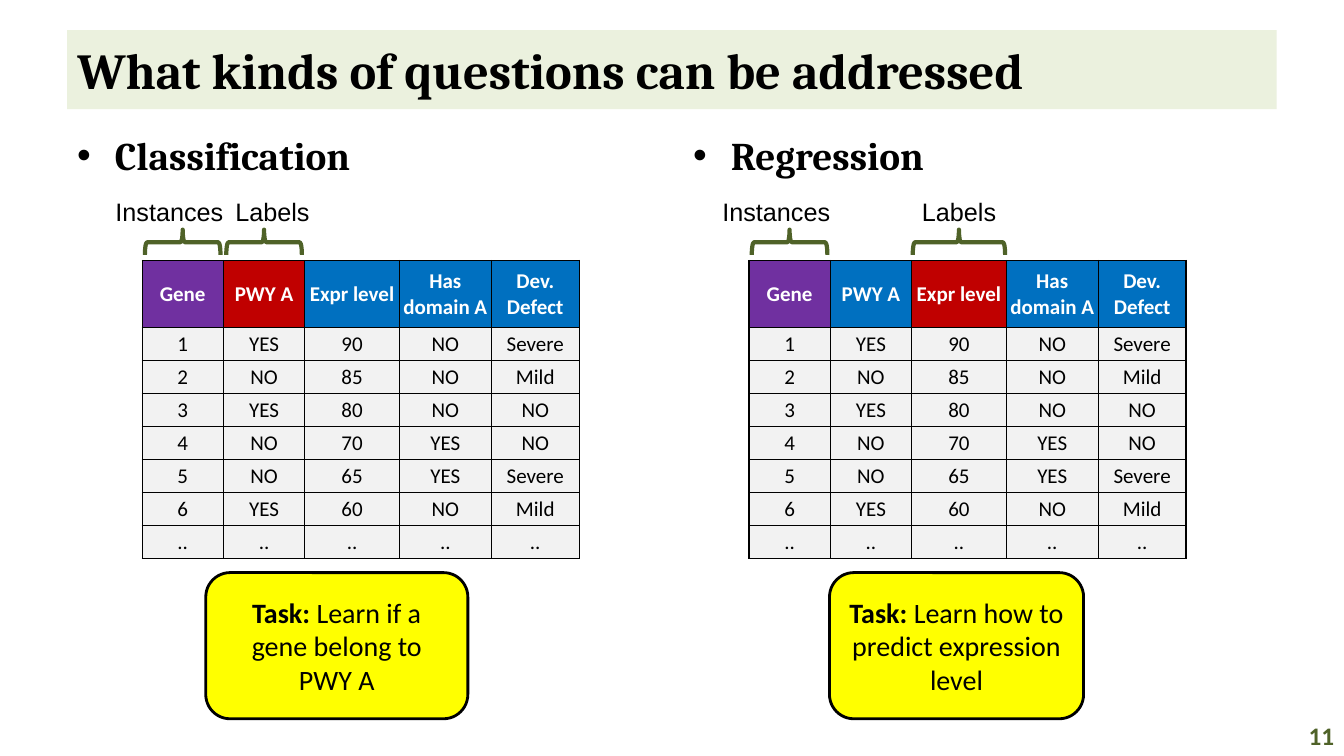
from lxml import etree
from pptx import Presentation
from pptx.dml.color import RGBColor
from pptx.enum import shapes, text
from pptx.oxml import ns
from pptx.util import Pt

BLACK = RGBColor(0x00, 0x00, 0x00)
WHITE = RGBColor(0xFF, 0xFF, 0xFF)
PALE_GREEN = RGBColor(0xEB, 0xF1, 0xDE)
DARK_GREEN = RGBColor(0x4F, 0x62, 0x28)
PURPLE = RGBColor(0x70, 0x30, 0xA0)
RED = RGBColor(0xC0, 0x00, 0x00)
BLUE = RGBColor(0x00, 0x70, 0xC0)
LIGHT_GREY = RGBColor(0xF2, 0xF2, 0xF2)
YELLOW = RGBColor(0xFF, 0xFF, 0x00)

HEADERS = ["Gene", "PWY A", "Expr level", "Has domain A", "Dev. Defect"]
GENES = [
    ["1", "YES", "90", "NO", "Severe"],
    ["2", "NO", "85", "NO", "Mild"],
    ["3", "YES", "80", "NO", "NO"],
    ["4", "NO", "70", "YES", "NO"],
    ["5", "NO", "65", "YES", "Severe"],
    ["6", "YES", "60", "NO", "Mild"],
    [".."] * 5,
]
COLUMN_WIDTHS = [58, 58.25, 67.5, 65.75, 62.75]
HEADER_HEIGHT, ROW_HEIGHT = 48, 23.5
TABLE_TOP = 186
BRACE_MIDDLE, BRACE_DEPTH = 173, 18
CAPTION_TOP, CAPTION_HEIGHT = 136.8, 28.8


class QuestionSlide:
    serif, sans, caption_font = "Cambria", "Calibri", "Arial"

    def __init__(self, deck):
        self.slide = deck.slides.add_slide(deck.slide_layouts[5])

    def format_runs(self, paragraph, font, size, color=BLACK, bold=False):
        for run in paragraph.runs:
            run.font.name = font
            run.font.size = Pt(size)
            run.font.color.rgb = color
            run.font.bold = bold

    def title(self, words):
        title = self.slide.shapes.title
        title.left, title.top, title.width, title.height = Pt(48), Pt(21.6), Pt(864), Pt(56.4)
        title.fill.solid()
        title.fill.fore_color.rgb = PALE_GREEN
        frame = title.text_frame
        frame.text = words
        frame.auto_size = text.MSO_AUTO_SIZE.NONE
        frame.vertical_anchor = text.MSO_ANCHOR.MIDDLE
        frame.paragraphs[0].alignment = text.PP_ALIGN.LEFT
        self.format_runs(frame.paragraphs[0], self.serif, 36, bold=True)

    def heading(self, left, words):
        box = self.slide.shapes.add_textbox(Pt(left), Pt(90), Pt(424), Pt(421.2))
        box.text_frame.word_wrap = True
        box.text_frame.text = words
        paragraph = box.text_frame.paragraphs[0]
        properties = paragraph._p.get_or_add_pPr()
        properties.set("marL", str(Pt(27)))
        properties.set("indent", str(-Pt(27)))
        etree.SubElement(properties, ns.qn("a:buFont")).set("typeface", "Arial")
        etree.SubElement(properties, ns.qn("a:buChar")).set("char", "•")
        self.format_runs(paragraph, self.serif, 28, bold=True)

    def page_number(self, number):
        box = self.slide.shapes.add_textbox(Pt(912), Pt(511.2), Pt(48), Pt(28.8))
        box.text_frame.vertical_anchor = text.MSO_ANCHOR.MIDDLE
        box.text_frame.word_wrap = True
        box.text_frame.text = number
        paragraph = box.text_frame.paragraphs[0]
        paragraph.alignment = text.PP_ALIGN.RIGHT
        self.format_runs(paragraph, self.sans, 18, DARK_GREEN, True)

    def borders(self, cell, widths):
        properties = cell._tc.get_or_add_tcPr()
        for side, width in zip("LRTB", widths):
            line = etree.SubElement(properties, ns.qn(f"a:ln{side}"), w=str(Pt(width)))
            fill = etree.SubElement(line, ns.qn("a:solidFill"))
            etree.SubElement(fill, ns.qn("a:srgbClr"), val=str(BLACK))

    def gene_table(self, left, label_column):
        rows = [HEADERS] + GENES
        height = HEADER_HEIGHT + ROW_HEIGHT * len(GENES)
        table = self.slide.shapes.add_table(
            len(rows), len(HEADERS), Pt(left), Pt(TABLE_TOP), Pt(sum(COLUMN_WIDTHS)), Pt(height)
        ).table
        table.first_row = table.horz_banding = False
        for column, width in zip(table.columns, COLUMN_WIDTHS):
            column.width = Pt(width)
        header_fills = [PURPLE] + [BLUE] * 4
        header_fills[label_column] = RED
        for r, row in enumerate(rows):
            table.rows[r].height = Pt(ROW_HEIGHT if r else HEADER_HEIGHT)
            for c, value in enumerate(row):
                cell = table.cell(r, c)
                self.borders(cell, (
                    1 if c <= 2 else 0.5,
                    1 if c in (0, 1, 4) else 0.5,
                    1 if r <= 1 else 0.5,
                    1 if r == 0 else 0.5,
                ))
                cell.fill.solid()
                cell.fill.fore_color.rgb = LIGHT_GREY if r else header_fills[c]
                cell.margin_left = cell.margin_right = cell.margin_top = Pt(0.75)
                cell.margin_bottom = 0
                cell.vertical_anchor = text.MSO_ANCHOR.MIDDLE
                cell.text_frame.text = value
                paragraph = cell.text_frame.paragraphs[0]
                paragraph.alignment = text.PP_ALIGN.CENTER
                self.format_runs(paragraph, self.sans, 15, BLACK if r else WHITE, r == 0)

    def braced_caption(self, group, words, table_left, column, span, width, shift):
        center = table_left + sum(COLUMN_WIDTHS[:column]) + COLUMN_WIDTHS[column] / 2
        brace = group.shapes.add_shape(
            shapes.MSO_SHAPE.RIGHT_BRACE, Pt(center - BRACE_DEPTH / 2),
            Pt(BRACE_MIDDLE - span / 2), Pt(BRACE_DEPTH), Pt(span)
        )
        brace.rotation = 270
        brace.shadow.inherit = False
        brace.fill.background()
        brace.line.color.rgb = DARK_GREEN
        brace.line.width = Pt(3)
        caption = group.shapes.add_textbox(
            Pt(center + shift - width / 2), Pt(CAPTION_TOP), Pt(width), Pt(CAPTION_HEIGHT)
        )
        caption.text_frame.word_wrap = False
        caption.text_frame.text = words
        paragraph = caption.text_frame.paragraphs[0]
        paragraph.alignment = text.PP_ALIGN.CENTER
        self.format_runs(paragraph, self.caption_font, 18)

    def captions(self, table_left, label_column, label_span, label_shift):
        group = self.slide.shapes.add_group_shape()
        self.braced_caption(group, "Labels", table_left, label_column, label_span, 68.4, label_shift)
        self.braced_caption(group, "Instances", table_left, 0, 54, 92, -9.5)

    def task(self, left, width, goal):
        card = self.slide.shapes.add_shape(
            shapes.MSO_SHAPE.ROUNDED_RECTANGLE, Pt(left), Pt(409), Pt(width), Pt(104.4)
        )
        card.shadow.inherit = False
        card.fill.solid()
        card.fill.fore_color.rgb = YELLOW
        card.line.color.rgb = BLACK
        card.line.width = Pt(2)
        card.text_frame.word_wrap = True
        card.text_frame.vertical_anchor = text.MSO_ANCHOR.MIDDLE
        paragraph = card.text_frame.paragraphs[0]
        paragraph.text = "Task:"
        paragraph.add_run().text = f" {goal}"
        paragraph.alignment = text.PP_ALIGN.CENTER
        self.format_runs(paragraph, self.sans, 20)
        paragraph.runs[0].font.bold = True


def main():
    deck = Presentation()
    deck.slide_width, deck.slide_height = Pt(960), Pt(540)
    page = QuestionSlide(deck)
    page.title("What kinds of questions can be addressed")

    page.heading(48, "Classification")
    page.gene_table(101.5, label_column=1)
    page.captions(101.5, label_column=1, label_span=54, label_shift=6)
    page.task(147, 187.2, "Learn if a gene belong to PWY A")

    page.heading(488, "Regression")
    page.gene_table(535, label_column=2)
    page.captions(535, label_column=2, label_span=66, label_shift=0)
    page.task(592.5, 181.5, "Learn how to predict expression level")

    page.page_number("11")
    deck.save("out.pptx")


if __name__ == "__main__":
    main()
